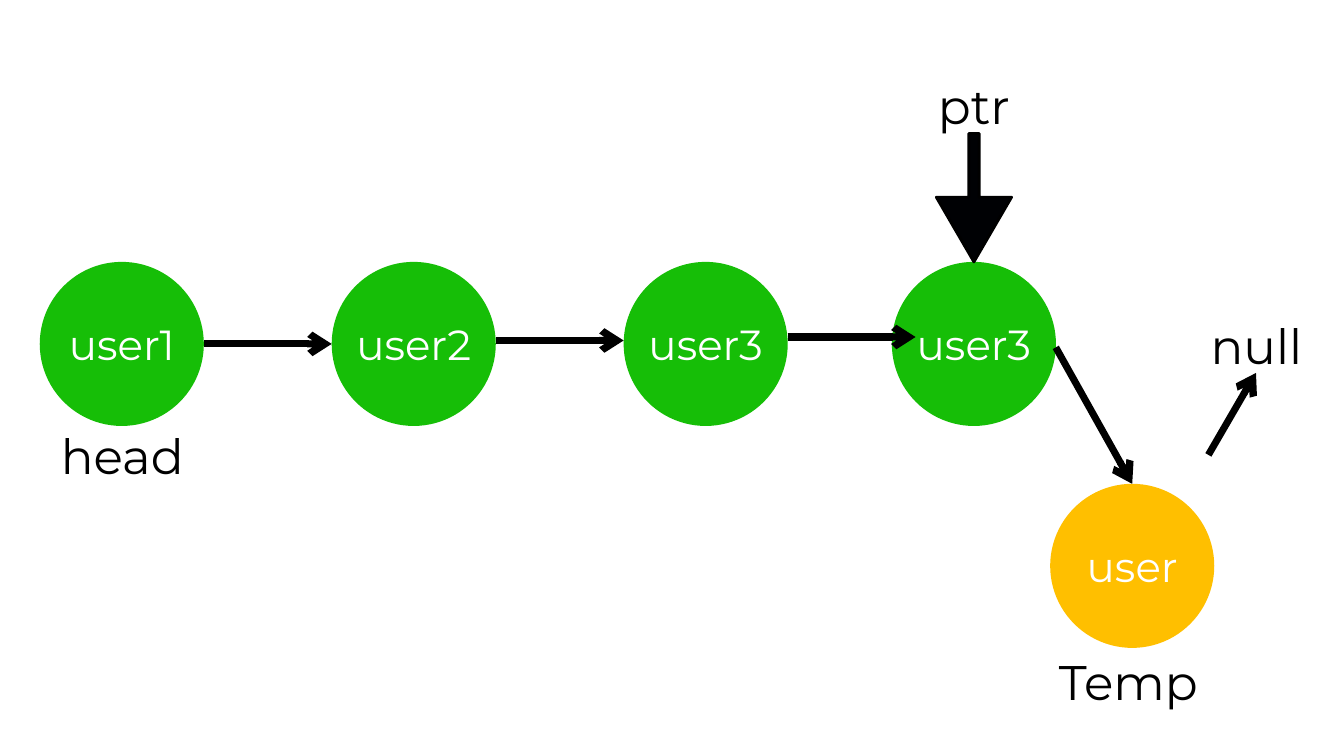
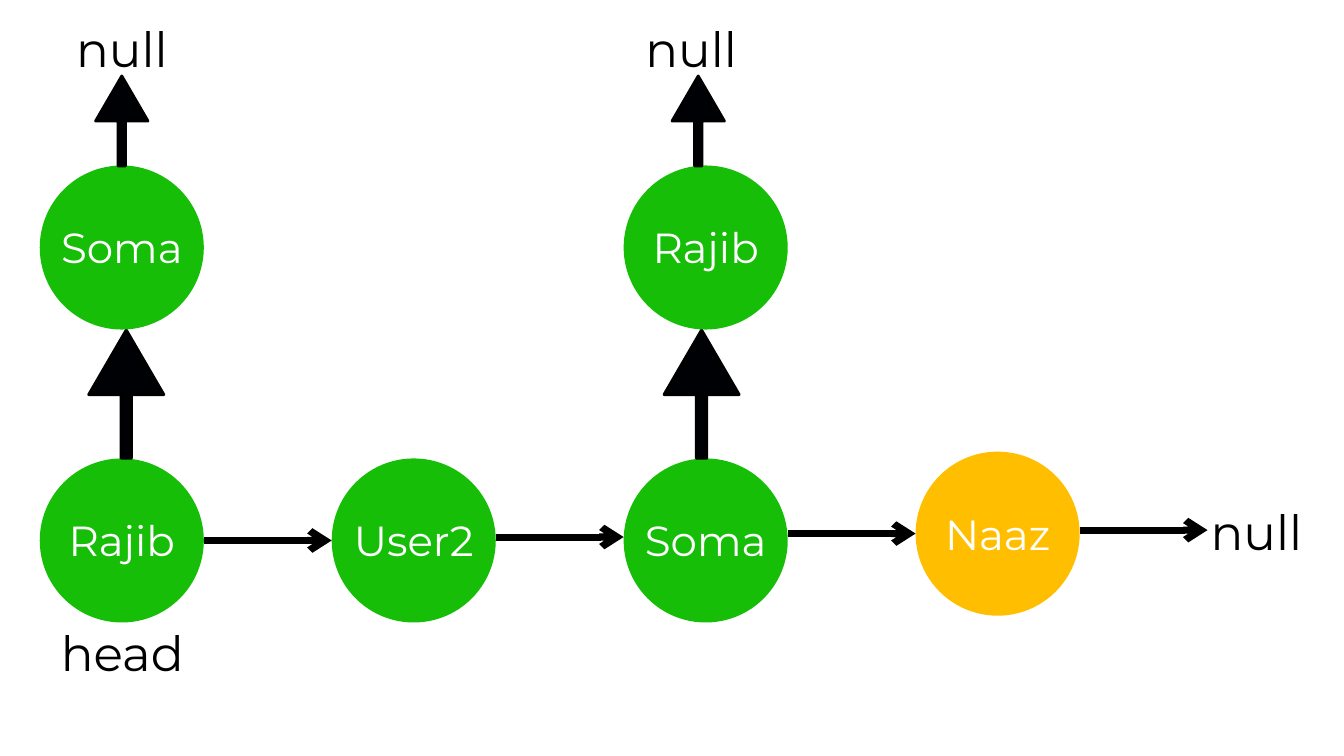
import pptx
import pptx.util
import pptx.dml.color
import pptx.enum.shapes
import pptx.enum.text
import pptx.oxml.ns
import lxml.etree

Pt = pptx.util.Pt
SHAPES = pptx.enum.shapes.MSO_SHAPE

COLOURS = {
    "node": "16BE07",
    "new_node": "FFBF00",
    "pointer": "000104",
    "ink": "000000",
    "light": "FFFFFF",
}
FONT = "Montserrat"
NODE_SIZE = 175.8
PITCH = 312.8
LINK_DRIFT = 3.7
CHAIN_LEFT = 42.6
BIG_ARROW = (80.6, 137.5)
SMALL_ARROW = (56.2, 96.5)


def colour(name):
    return pptx.dml.color.RGBColor.from_string(COLOURS[name])


def write_text(shape, text, size, spacing, ink, wrap):
    frame = shape.text_frame
    frame.word_wrap = wrap
    frame.margin_left = frame.margin_right = 0
    frame.margin_top = frame.margin_bottom = 0
    frame.text = text
    paragraph = frame.paragraphs[0]
    paragraph.alignment = pptx.enum.text.PP_ALIGN.CENTER
    paragraph.line_spacing = Pt(spacing)
    font = paragraph.runs[0].font
    font.name = FONT
    font.size = Pt(size)
    font.color.rgb = colour(ink)


def add_label(slide, left, top, width, text):
    box = slide.shapes.add_textbox(Pt(left), Pt(top), Pt(width), Pt(60.5))
    write_text(box, text, 52, 61.4, "ink", True)


def add_null(slide, left, top):
    add_label(slide, left, top, 103, "null")


def add_node(slide, left, top, name, fill="node"):
    circle = slide.shapes.add_shape(
        SHAPES.OVAL, Pt(left), Pt(top), Pt(NODE_SIZE), Pt(NODE_SIZE))
    circle.shadow.inherit = False
    circle.fill.solid()
    circle.fill.fore_color.rgb = colour(fill)
    circle.line.fill.background()
    write_text(circle, name, 45, 53.1, "light", False)
    circle.text_frame.vertical_anchor = pptx.enum.text.MSO_ANCHOR.MIDDLE


def add_block_arrow(slide, kind, left, top, size):
    width, height = size
    arrow = slide.shapes.add_shape(
        kind, Pt(left), Pt(top), Pt(width), Pt(height))
    arrow.adjustments[0] = 0.14
    arrow.adjustments[1] = 0.86
    arrow.shadow.inherit = False
    arrow.fill.solid()
    arrow.fill.fore_color.rgb = colour("pointer")
    arrow.line.color.rgb = colour("ink")
    arrow.line.width = Pt(3)


def add_link(slide, start, end):
    link = slide.shapes.add_connector(
        pptx.enum.shapes.MSO_CONNECTOR.STRAIGHT, *map(Pt, start + end))
    link.line.color.rgb = colour("ink")
    link.line.width = Pt(7.5)
    qn = pptx.oxml.ns.qn
    lxml.etree.SubElement(link.line._get_or_add_ln(), qn("a:tailEnd"), type="arrow")
    lxml.etree.SubElement(link._element.spPr, qn("a:effectLst"))


def add_chain(slide, left, top, names):
    for index, name in enumerate(names):
        add_node(slide, left + index * PITCH, top, name)
    add_label(slide, left + 20, top + 177.3, 136.8, "head")


def add_chain_links(slide, left, top, count):
    for index in range(count):
        start = left + NODE_SIZE + index * PITCH
        height = top + NODE_SIZE / 2 - index * LINK_DRIFT
        add_link(slide, (start, height), (left + (index + 1) * PITCH, height))


def add_branch(slide, left, top, name, null_shift, small_shift, big_shift):
    add_block_arrow(slide, SHAPES.UP_ARROW, left + big_shift, top + 332.6, BIG_ARROW)
    add_node(slide, left, top + 156.4, name)
    add_block_arrow(slide, SHAPES.UP_ARROW, left + small_shift, top + 60.5, SMALL_ARROW)
    add_null(slide, left + null_shift, top)


def add_temp_node(slide, left, top):
    add_node(slide, left, top, "user", "new_node")
    add_label(slide, left + 6, top + 181.4, 155.5, "Temp")
    add_link(slide, (left + 6, top - 146.2), (left + NODE_SIZE / 2, top))
    add_link(slide, (left + 169.5, top - 31), (left + 220.5, top - 118.8))
    add_null(slide, left + 169.5, top - 179.3)


def add_pointed_node(slide, left, top):
    add_node(slide, left, top, "user3")
    arrow_left = left + (NODE_SIZE - BIG_ARROW[0]) / 2
    add_block_arrow(slide, SHAPES.DOWN_ARROW, arrow_left, top - BIG_ARROW[1], BIG_ARROW)
    add_label(slide, arrow_left, top - 198, BIG_ARROW[0], "ptr")


def build_append_slide(slide):
    top = 280.6
    add_chain(slide, CHAIN_LEFT, top, ["user1", "user2", "user3"])
    add_pointed_node(slide, 955.6, top)
    add_chain_links(slide, CHAIN_LEFT, top, 3)
    add_temp_node(slide, 1125.2, 518.4)


def build_friends_slide(slide):
    top = 491.2
    add_chain(slide, CHAIN_LEFT, top, ["Rajib", "User2", "Soma"])
    add_node(slide, CHAIN_LEFT + 3 * PITCH, top - 7.3, "Naaz", "new_node")
    add_chain_links(slide, CHAIN_LEFT, top, 4)
    add_null(slide, 1294.6, 538.6)
    add_branch(slide, CHAIN_LEFT, 20.9, "Soma", 36.6, 59.8, 52.4)
    add_branch(slide, CHAIN_LEFT + 2 * PITCH, 20.9, "Rajib", 20.8, 51.8, 43.2)


def main():
    presentation = pptx.Presentation()
    presentation.slide_width = Pt(1440)
    presentation.slide_height = Pt(810)
    for build in (build_append_slide, build_friends_slide):
        slide = presentation.slides.add_slide(presentation.slide_layouts[6])
        slide.background.fill.solid()
        slide.background.fill.fore_color.rgb = colour("light")
        build(slide)
    presentation.save("out.pptx")


if __name__ == "__main__":
    main()
